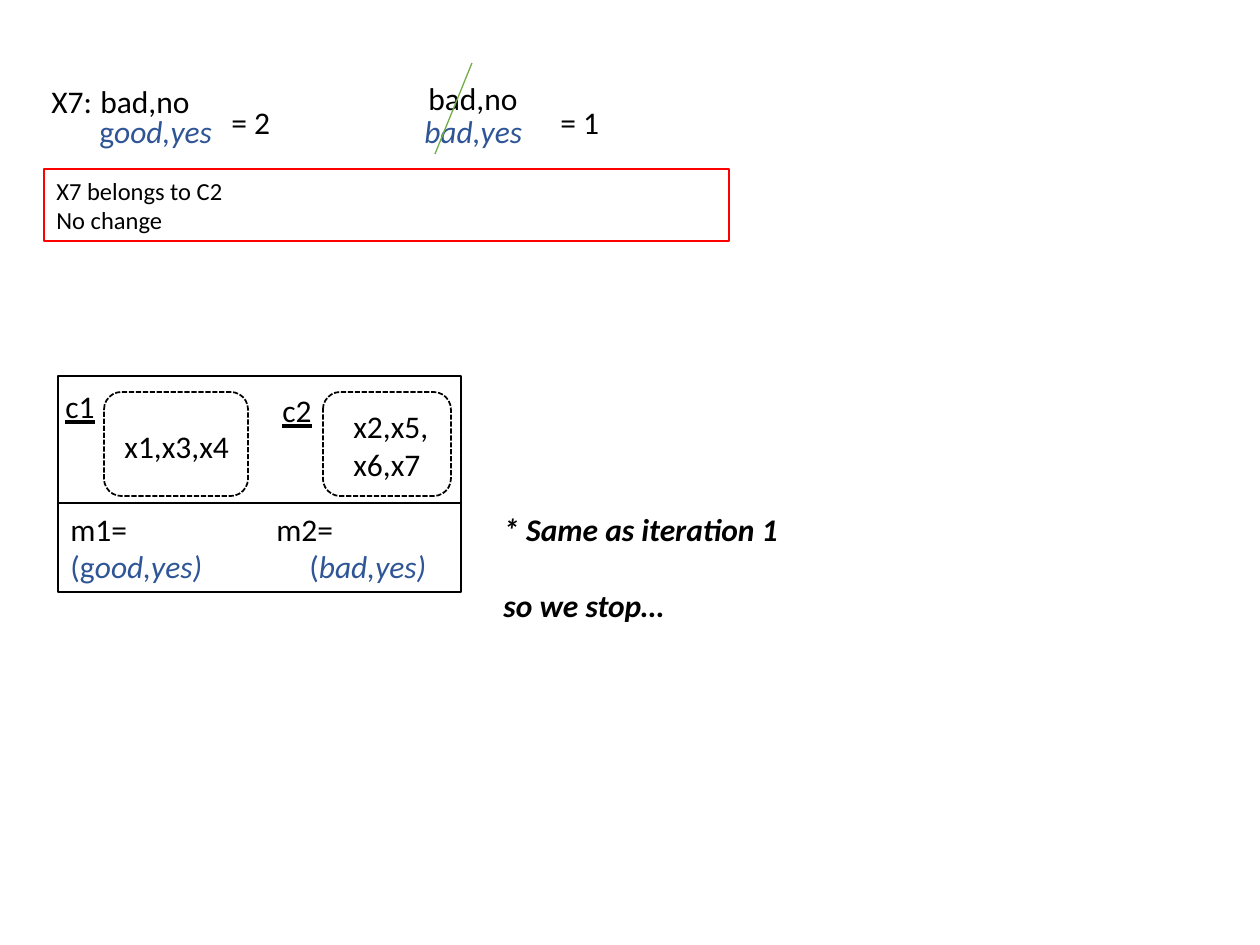
from lxml import etree
from pptx import Presentation
from pptx.dml.color import RGBColor
from pptx.enum.dml import MSO_LINE
from pptx.enum.shapes import MSO_CONNECTOR, MSO_SHAPE
from pptx.enum.text import MSO_ANCHOR, MSO_AUTO_SIZE, PP_ALIGN
from pptx.oxml.ns import qn
from pptx.util import Emu, Pt

RECTANGLE = MSO_SHAPE.RECTANGLE
ROUNDED = MSO_SHAPE.ROUNDED_RECTANGLE
STRAIGHT = MSO_CONNECTOR.STRAIGHT
DASHED = MSO_LINE.SQUARE_DOT
LEFT = PP_ALIGN.LEFT
MIDDLE = MSO_ANCHOR.MIDDLE
GROW = MSO_AUTO_SIZE.SHAPE_TO_FIT_TEXT

EMU_PER_PX = 914400 / 126
FONT = "Calibri"
COLOURS = {
    "text": "000000",
    "changed": "2F5597",
    "paper": "FFFFFF",
    "result": "FF0000",
    "strike": "70AD47",
}


def px(length):
    return Emu(round(length * EMU_PER_PX))


def colour(name):
    return RGBColor.from_string(COLOURS[name])


def write(frame, paragraphs, size=18):
    """Fill a frame; each paragraph is a list of (text, colour, styles) spans."""
    for index, spans in enumerate(paragraphs):
        para = frame.paragraphs[0] if index == 0 else frame.add_paragraph()
        para.alignment = LEFT
        for text, colour_name, styles in spans:
            span = para.add_run()
            span.text = text
            span.font.name = FONT
            span.font.size = Pt(size)
            span.font.color.rgb = colour(colour_name)
            span.font.bold = "b" in styles
            span.font.italic = "i" in styles
            span.font.underline = "u" in styles


def add_text(page, area, paragraphs, wrap=True):
    box = page.shapes.add_textbox(*map(px, area))
    frame = box.text_frame
    frame.word_wrap = wrap
    frame.auto_size = GROW
    write(frame, paragraphs)
    return frame


def add_label(page, area, text, colour_name="text", styles="", wrap=False):
    add_text(page, area, [[(text, colour_name, styles)]], wrap)


def add_frame(page, kind, area, line="text", width=1, filled=True, dashed=False):
    box = page.shapes.add_shape(kind, *map(px, area))
    box.shadow.inherit = False
    if filled:
        box.fill.solid()
        box.fill.fore_color.rgb = colour("paper")
    else:
        box.fill.background()
    box.line.color.rgb = colour(line)
    box.line.width = Pt(width)
    if dashed:
        box.line.dash_style = DASHED
    box.text_frame.word_wrap = True
    box.text_frame.vertical_anchor = MIDDLE
    return box.text_frame


def add_strike(page, start, end):
    line = page.shapes.add_connector(STRAIGHT, *map(px, start + end))
    line.line.color.rgb = colour("strike")
    line.line.width = Pt(0.75)
    etree.SubElement(line.element.spPr, qn("a:effectLst"))


def set_tab(para, position):
    stops = etree.SubElement(para._p.get_or_add_pPr(), qn("a:tabLst"))
    etree.SubElement(stops, qn("a:tab"), pos=str(px(position)), algn="l")


def add_comparisons(page):
    add_text(page, (87, 106, 141, 51),
             [[("g", "changed", ""), ("ood,yes", "changed", "i")]], wrap=False)
    add_label(page, (219, 97, 93, 51), "= 2", wrap=True)
    add_label(page, (88, 76, 116, 51), "bad,no")
    add_label(page, (39, 76, 67, 51), "X7:")
    add_label(page, (416, 73, 116, 51), "bad,no")
    add_label(page, (412, 106, 125, 51), "bad,yes", "changed", "i")
    add_label(page, (548, 97, 93, 51), "= 1", wrap=True)
    add_strike(page, (472, 63), (435, 154))


def add_conclusions(page):
    stop = add_text(page, (491, 504, 306, 89),
                    [[("* Same as iteration 1", "text", "bi")],
                     [("so we stop…", "text", "bi")]])
    stop.paragraphs[1].space_before = Pt(22)
    result = add_frame(page, RECTANGLE, (44, 169, 685, 72), "result", 0.75, filled=False)
    write(result, [[("X7 belongs to C2", "text", "")], [("No change", "text", "")]], 14)


def add_clusters(page):
    modes = add_frame(page, RECTANGLE, (58, 503, 403, 89), width=0.75, filled=False)
    write(modes, [
        [("m1=\tm2=", "text", "")],
        [("(g", "changed", ""), ("ood,yes)", "changed", "i"),
         ("\t(", "changed", ""), ("bad,yes)", "changed", "i")],
    ])
    for para, position in zip(modes.paragraphs, (206, 239)):
        set_tab(para, position)

    add_frame(page, RECTANGLE, (58, 376, 403, 127))
    for left, width in ((104, 144), (323, 128)):
        add_frame(page, ROUNDED, (left, 392, width, 104), dashed=True)
    add_label(page, (53, 381, 73, 51), "c1", styles="u", wrap=True)
    add_label(page, (270, 385, 73, 51), "c2", styles="u", wrap=True)
    add_label(page, (112, 421, 133, 51), "x1,x3,x4")
    add_label(page, (341, 401, 113, 89), "x2,x5,x6,x7", wrap=True)


def main():
    deck = Presentation()
    deck.slide_width, deck.slide_height = px(1260), px(945)
    page = deck.slides.add_slide(deck.slide_layouts[6])
    add_comparisons(page)
    add_conclusions(page)
    add_clusters(page)
    deck.save("out.pptx")


if __name__ == "__main__":
    main()
